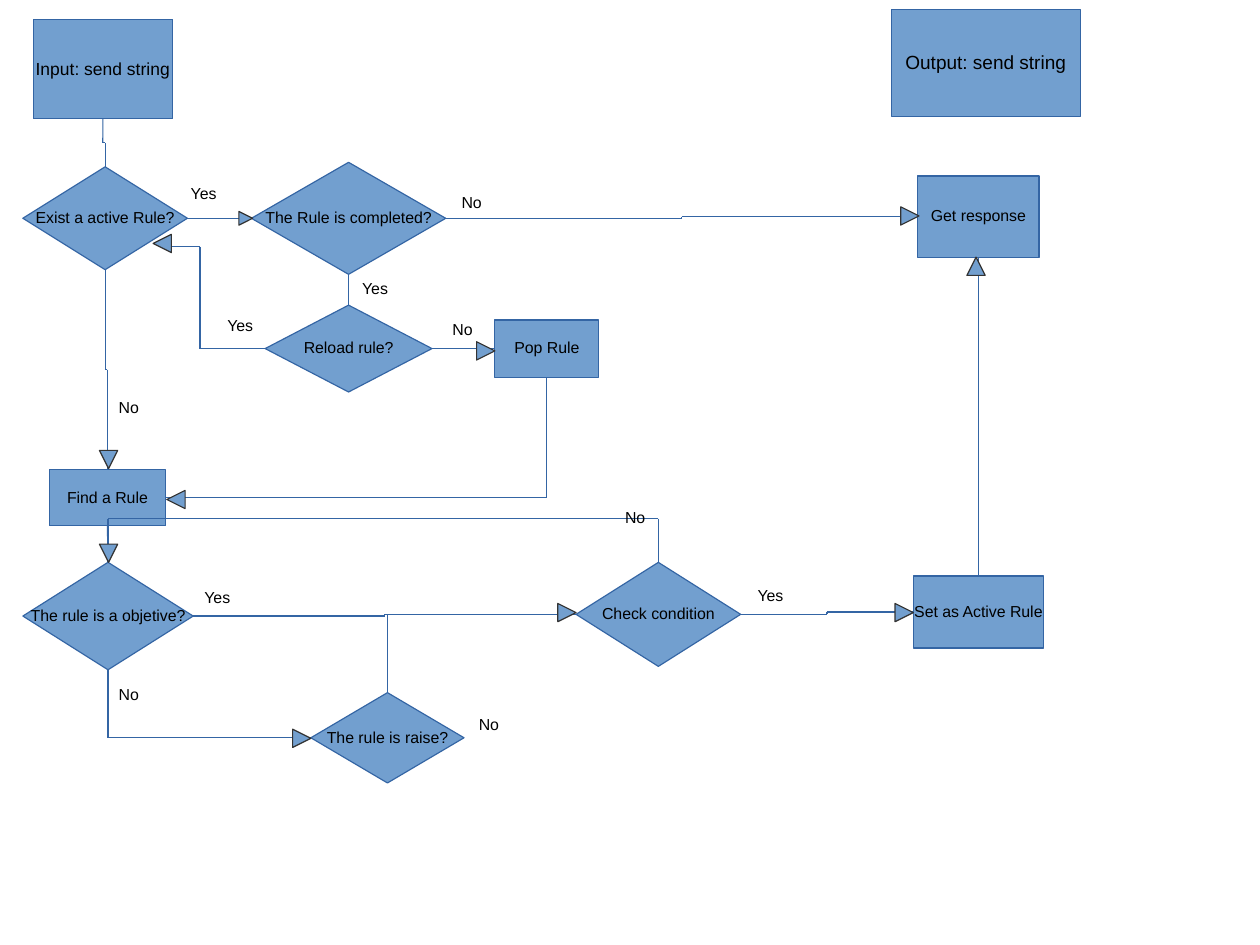
from dataclasses import dataclass
from itertools import pairwise
from lxml.etree import SubElement as Sub
from pptx import Presentation
from pptx.dml.color import RGBColor as Rgb
from pptx.enum.shapes import MSO_CONNECTOR as Conn, MSO_SHAPE as Form
from pptx.enum.text import MSO_ANCHOR as Anchor, PP_ALIGN as Align
from pptx.oxml.ns import qn
from pptx.util import Inches, Pt


@dataclass
class Theme:
    fill: Rgb = Rgb.from_string("729FCF")
    line: Rgb = Rgb.from_string("3465A4")
    edge: Rgb = Rgb.from_string("333333")
    ink: Rgb = Rgb.from_string("000000")
    font: str = "Arial"
    small: int = 10
    mid: int = 11
    large: int = 12
    width: float = 0.75


theme = Theme()


def write(shape, text, size=theme.small, align=Align.LEFT, anchor=Anchor.TOP, wrap=True):
    frame = shape.text_frame
    frame.word_wrap = wrap
    frame.vertical_anchor = anchor
    frame.margin_left = frame.margin_right = Inches(0.1)
    frame.margin_top = frame.margin_bottom = Inches(0.05)
    para = frame.paragraphs[0]
    para.alignment = align
    para.line_spacing = 0.94
    run = para.add_run()
    run.text = text
    run.font.name = theme.font
    run.font.size = Pt(size)
    run.font.color.rgb = theme.ink


def draw(form, x, y, w, h, line):
    shape = slide.shapes.add_shape(form, Inches(x), Inches(y), Inches(w), Inches(h))
    shape.shadow.inherit = False
    shape.fill.solid()
    shape.fill.fore_color.rgb = theme.fill
    shape.line.color.rgb = line
    shape.line.width = Pt(theme.width)
    return shape


deck = Presentation()
deck.slide_width = Inches(28 / 2.54)
deck.slide_height = Inches(21 / 2.54)
slide = deck.slides.add_slide(deck.slide_layouts[6])

step, test = Form.FLOWCHART_PROCESS, Form.FLOWCHART_DECISION
nodes = [
    ("input", step, 0.29, 0.17, 1.22, 0.87, "Input: send string", theme.mid),
    ("exist", test, 0.2, 1.46, 1.44, 0.9, "Exist a active Rule?", theme.small),
    ("find", step, 0.43, 4.11, 1.02, 0.49, "Find a Rule", theme.small),
    ("get", step, 8.03, 1.54, 1.06, 0.71, "Get response", theme.small),
    ("output", step, 7.8, 0.08, 1.65, 0.94, "Output: send string", theme.large),
    ("done", test, 2.2, 1.42, 1.7, 0.98, "The Rule is completed?", theme.small),
    ("reload", test, 2.32, 2.67, 1.46, 0.76, "Reload rule?", theme.small),
    ("pop", step, 4.33, 2.8, 0.91, 0.5, "Pop Rule", theme.small),
    ("goal", test, 0.2, 4.92, 1.49, 0.94, "The rule is a objetive?", theme.small),
    ("raise", test, 2.72, 6.06, 1.34, 0.79, "The rule is raise?", theme.small),
    ("set", step, 7.99, 5.04, 1.14, 0.63, "Set as Active Rule", theme.small),
    ("check", test, 5.04, 4.92, 1.44, 0.91, "Check condition", theme.small),
]
top, left, bottom, right = range(4)
boxes, ports = {}, {"entry": {right: (1.44, 2.16)}}
for name, form, x, y, w, h, text, size in nodes:
    boxes[name] = draw(form, x, y, w, h, theme.line)
    write(boxes[name], text, size=size, align=Align.CENTER, anchor=Anchor.MIDDLE, wrap=False)
    ports[name] = {
        top: (x + w / 2, y),
        left: (x, y + h / 2),
        bottom: (x + w / 2, y + h),
        right: (x + w, y + h / 2),
    }

links = [
    ("exist", bottom, "find", top, None),
    ("input", bottom, "exist", top, None),
    ("exist", right, "done", left, None),
    ("done", right, "get", left, None),
    ("done", bottom, "reload", top, None),
    ("reload", right, "pop", left, None),
    ("reload", left, "entry", right, 1.75),
    ("set", top, "get", bottom, None),
    ("pop", bottom, "find", right, None),
    ("goal", right, "check", left, None),
    ("raise", top, "check", left, None),
    ("goal", bottom, "raise", left, None),
    ("check", right, "set", left, None),
    ("check", top, "goal", top, 4.54),
    ("find", bottom, "goal", top, None),
]
for start, out, end, into, level in links:
    (ax, ay), (bx, by) = ports[start][out], ports[end][into]
    if out % 2 != into % 2:
        bends = [(ax, by)]
    elif out % 2:
        mid = level or (ax + bx) / 2
        bends = [(mid, ay), (mid, by)] if abs(ay - by) > 0.011 else []
    else:
        mid = level or (ay + by) / 2
        bends = [(ax, mid), (bx, mid)] if level or abs(ax - bx) > 0.011 else []
    parts = []
    for (x1, y1), (x2, y2) in pairwise([(ax, ay), *bends, (bx, by)]):
        part = slide.shapes.add_connector(
            Conn.STRAIGHT, Inches(x1), Inches(y1), Inches(x2), Inches(y2))
        part.line.color.rgb = theme.line
        part.line.width = Pt(theme.width)
        Sub(part._element.spPr, qn("a:effectLst"))
        parts.append(part)
    parts[0].begin_connect(boxes[start], out)
    if end in boxes:
        parts[-1].end_connect(boxes[end], into)

labels = [
    ("No", 3.94, 1.65), ("Yes", 3.07, 2.4), ("Yes", 1.89, 2.73), ("No", 3.86, 2.76),
    ("Yes", 1.57, 1.57), ("No", 0.94, 3.44), ("No", 0.94, 5.95), ("No", 4.09, 6.22),
    ("Yes", 1.69, 5.11), ("Yes", 6.53, 5.09), ("No", 5.37, 4.41),
]
wide = {"Yes": 0.47, "No": 0.39}
for text, x, y in labels:
    label = slide.shapes.add_textbox(Inches(x), Inches(y), Inches(wide[text]), Inches(0.27))
    write(label, text)

turn = {top: 0, right: 90, bottom: 180, left: 270}
heads = [
    (0.87, 3.94, 0.16, bottom), (8.46, 2.25, 0.16, top), (7.88, 1.81, 0.16, right),
    (2.09, 1.85, 0.12, right), (1.46, 4.29, 0.16, left), (4.88, 5.28, 0.16, right),
    (0.87, 4.76, 0.16, bottom), (2.56, 6.38, 0.16, right), (4.17, 2.99, 0.16, right),
    (1.34, 2.05, 0.16, left), (7.83, 5.28, 0.16, right),
]
for x, y, size, way in heads:
    head = draw(Form.ISOSCELES_TRIANGLE, x, y, size, size, theme.edge)
    head.rotation = turn[way]

deck.save("out.pptx")
